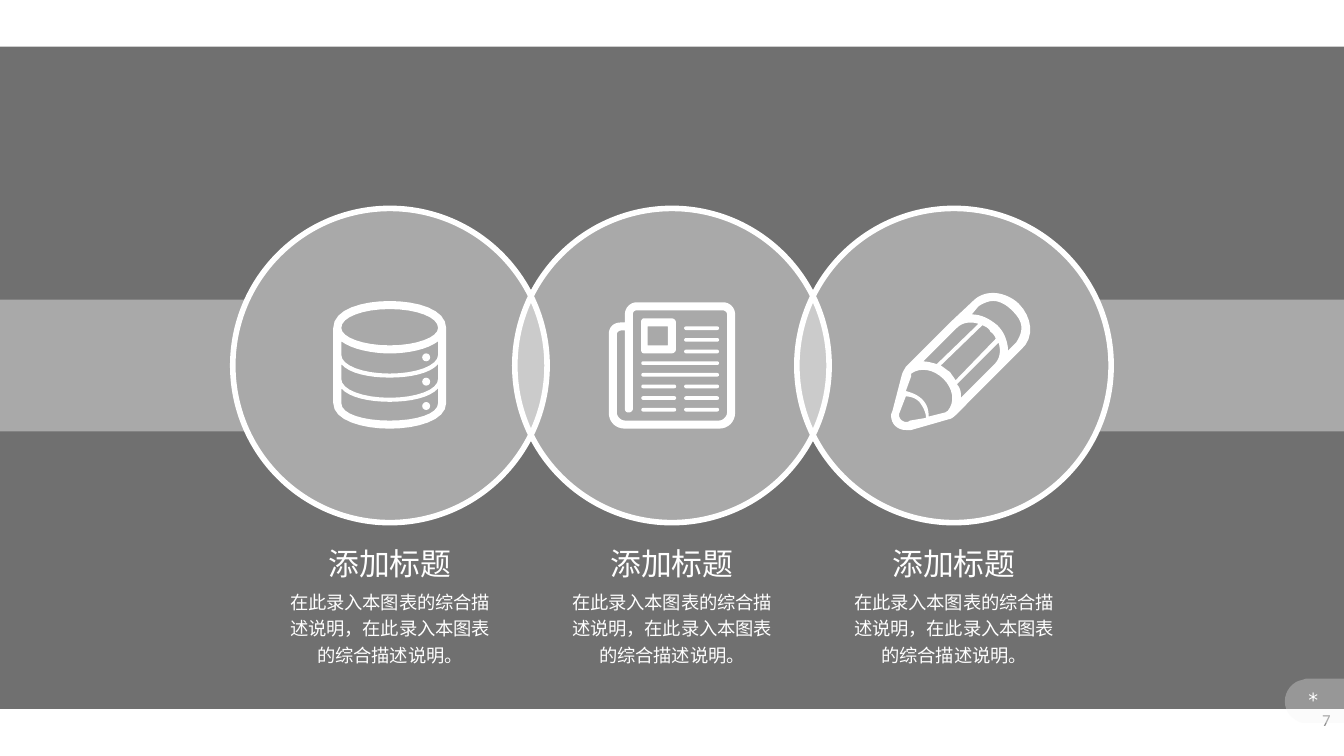
from dataclasses import dataclass

from lxml import etree
from pptx import Presentation
from pptx.dml.color import RGBColor
from pptx.enum.shapes import MSO_SHAPE
from pptx.enum.text import MSO_ANCHOR, MSO_AUTO_SIZE, PP_ALIGN
from pptx.oxml.ns import qn
from pptx.util import Cm, Pt

RECTANGLE, ROUNDED, OVAL = MSO_SHAPE.RECTANGLE, MSO_SHAPE.ROUNDED_RECTANGLE, MSO_SHAPE.OVAL
CENTER, RIGHT = PP_ALIGN.CENTER, PP_ALIGN.RIGHT
TOP, MIDDLE = MSO_ANCHOR.TOP, MSO_ANCHOR.MIDDLE
GROW, FIXED = MSO_AUTO_SIZE.SHAPE_TO_FIT_TEXT, MSO_AUTO_SIZE.NONE


@dataclass(frozen=True)
class Theme:
    white: str = "FFFFFF"
    panel: str = "000000"
    tab: str = "F2F2F2"
    page_number: str = "8C8C8C"
    font: str = "Noto Sans CJK SC"
    number_font: str = "Calibri"
    mark_font: str = "DejaVu Sans Mono"
    title_size: float = 16.5
    body_size: float = 9.75
    mark_size: float = 10.5
    number_size: float = 9
    ring_width: float = 3


@dataclass(frozen=True)
class Topic:
    title: str
    body: str


THEME = Theme()
BODY = "在此录入本图表的综合描述说明，在此录入本图表的综合描述说明。"
TOPICS = [Topic("添加标题", BODY)] * 3

SLIDE_WIDTH, SLIDE_HEIGHT = 25.4, 14.29
FIRST_CENTER, PITCH = 7.37, 5.33
RING_TOP, RING_SIZE = 3.94, 5.94

# Outlines are tuples of contours, on a grid of 1000 steps across the slide.
GRID_STEPS = 1000
GRID = Cm(SLIDE_WIDTH) / GRID_STEPS
CURVE_STEPS = 8

TAB = ("""972,505 1008,505 1008,538 969,538 C 962,536 956,530 956,522
    956,514 962,507 969,506""",)
BAND = ("""0,223 184,223 182,226 C 176,240 173,256 173,272
    173,288 176,304 182,318 L 184,321 0,321""",)
NEWSPAPER = (
    """538,225 474,225 C 469,225 465,229 465,234 L 465,240 462,240
    C 457,240 453,243 453,249 L 453,307 C 453,314 458,319 465,319 L 535,319
    C 542,319 547,314 547,307 L 547,234 C 547,229 543,225 538,225""",
    """541,307 C 541,310 538,313 535,313 L 465,313 C 462,313 459,310 459,307
    L 459,249 C 459,247 461,246 462,246 L 465,246 465,304
    C 465,306 466,307 468,307 469,307 471,306 471,304 L 471,234
    C 471,232 472,231 474,231 L 538,231 C 539,231 541,232 541,234""",
)
PHOTO = (
    """479,263 500,263 C 501,263 503,262 503,260 L 503,240
    C 503,238 501,237 500,237 L 479,237 C 478,237 477,238 477,240 L 477,260
    C 477,262 478,263 479,263""",
    "482,243 497,243 497,257 482,257",
)
PENCIL = (
    """758,226 C 753,221 745,218 739,218 733,218 728,220 724,224 L 708,239 674,273
    C 673,275 672,276 671,279 L 664,306 C 664,306 663,308 663,309
    663,316 668,320 674,320 676,320 678,320 678,320 L 706,312
    C 707,312 709,311 711,309 L 760,260 C 770,251 768,236 758,226""",
    """715,294 C 715,291 714,288 712,286 L 743,255 C 745,261 744,267 740,271
    L 715,296""",
    """711,283 C 710,281 708,279 707,277 704,275 703,274 700,272 L 731,242
    C 733,243 736,244 737,247 739,248 740,250 741,252""",
    "697,271 C 694,270 690,269 687,269 L 712,244 C 716,240 722,239 728,241",
    """677,313 C 676,314 675,314 674,314 672,314 669,312 669,309 L 669,308 674,295
    C 677,295 681,296 684,299 687,303 689,307 689,311""",
    """691,310 C 691,305 690,301 686,297 683,294 678,292 674,291 L 678,280
    C 678,279 678,279 678,278 685,273 695,275 702,282 709,289 711,299 705,306
    704,306 704,307 703,307""",
    """756,255 750,261 C 750,260 750,259 750,259 749,252 747,247 742,242
    736,237 730,234 723,234 L 728,228 C 731,226 735,224 739,224
    744,224 749,227 753,231 757,235 760,239 760,244 760,248 758,252 756,255""",
)
DATABASE = (
    """290,224 C 270,224 248,230 248,244 L 248,300 C 248,313 270,319 290,319
    310,319 332,313 332,300 L 332,244 C 332,230 310,224 290,224""",
    """326,300 C 326,308 310,313 290,313 270,313 254,308 254,300 L 254,289
    C 260,296 275,299 290,299 305,299 320,296 326,289""",
    """326,282 C 326,290 310,296 290,296 270,296 254,290 254,282 L 254,271
    C 260,278 275,281 290,281 305,281 320,278 326,271""",
    """326,264 C 326,272 310,278 290,278 270,278 254,272 254,264 L 254,254
    C 262,260 277,263 290,263 304,263 318,260 326,254""",
    """290,257 C 270,257 254,251 254,244 254,236 270,230 290,230
    310,230 326,236 326,244 326,251 310,257 290,257""",
)


def paint(shape, color: str, opacity: int = 100) -> None:
    shape.shadow.inherit = False
    shape.fill.solid()
    shape.fill.fore_color.rgb = RGBColor.from_string(color)
    shape.line.fill.background()
    if opacity < 100:
        color_node = shape._element.spPr.find(qn("a:solidFill"))[0]
        etree.SubElement(color_node, qn("a:alpha"), val=str(opacity * 1000))


def add_preset(shapes, kind, left: float, top: float, width: float, height: float,
               color: str = THEME.white, opacity: int = 100):
    shape = shapes.add_shape(kind, Cm(left), Cm(top), Cm(width), Cm(height))
    paint(shape, color, opacity)
    return shape


def trace(contour: str) -> list[tuple[float, float]]:
    """Turn line (L) and cubic curve (C) commands into points."""
    points, controls, command = [], [], "L"
    for token in contour.split():
        if token in ("L", "C"):
            command = token
            continue
        x, y = token.split(",")
        point = (float(x), float(y))
        if command == "L":
            points.append(point)
            continue
        controls.append(point)
        if len(controls) == 3:
            corners = [points[-1], *controls]
            for step in range(1, CURVE_STEPS + 1):
                t = step / CURVE_STEPS
                weights = ((1 - t) ** 3, 3 * t * (1 - t) ** 2, 3 * t * t * (1 - t), t ** 3)
                points.append(tuple(sum(w * corner[axis] for w, corner in zip(weights, corners))
                                    for axis in (0, 1)))
            controls = []
    return points


def add_outline(shapes, outline: tuple[str, ...], color: str = THEME.white,
                opacity: int = 100, mirrored: bool = False) -> None:
    builder = None
    for contour in outline:
        points = [((GRID_STEPS - x if mirrored else x) * GRID, y * GRID)
                  for x, y in trace(contour)]
        if builder is None:
            builder = shapes.build_freeform(*points[0])
        else:
            builder.move_to(*points[0])
        builder.add_line_segments(points[1:], close=True)
    paint(builder.convert_to_shape(), color, opacity)


def add_text(shapes, text: str, *, left: float, top: float, width: float, height: float,
             size: float, font: str = THEME.font, color: str = THEME.white, align=CENTER,
             anchor=TOP, fit=GROW, wrap: bool = True, spacing: float = 1.0,
             inset: tuple[float, float] = (0.18, 0.1)) -> None:
    box = shapes.add_textbox(Cm(left), Cm(top), Cm(width), Cm(height))
    frame = box.text_frame
    frame.word_wrap, frame.auto_size, frame.vertical_anchor = wrap, fit, anchor
    frame.margin_left = frame.margin_right = Cm(inset[0])
    frame.margin_top = frame.margin_bottom = Cm(inset[1])
    para = frame.paragraphs[0]
    para.alignment, para.line_spacing = align, spacing
    span = para.add_run()
    span.text = text
    span.font.size = Pt(size)
    span.font.color.rgb = RGBColor.from_string(color)
    span.font.name = font
    etree.SubElement(span.font._element, qn("a:ea"), typeface=font)


def add_newspaper(shapes) -> None:
    group = shapes.add_group_shape().shapes
    add_outline(group, NEWSPAPER)
    left_column, right_column, column, full = 12.12, 12.93, 0.66, 1.47
    rows = ([[(right_column, column)]] * 3 + [[(left_column, full)]] * 2
            + [[(left_column, column), (right_column, column)]] * 3)
    for index, row in enumerate(rows):
        for left, width in row:
            bar = add_preset(group, ROUNDED, left, 6.17 + 0.22 * index, width, 0.07)
            bar.adjustments[0] = 0.5
    add_outline(group, PHOTO)


def add_database(shapes) -> None:
    group = shapes.add_group_shape().shapes
    add_outline(group, DATABASE)
    for index in range(3):
        add_preset(group, OVAL, 7.98, 6.68 + 0.46 * index, 0.15, 0.15)


def add_label(shapes, topic: Topic, center: float) -> None:
    add_text(shapes, topic.title, left=center - 1.37, top=10.19, width=2.74, height=0.89,
             size=THEME.title_size, wrap=False)
    add_text(shapes, topic.body, left=center - 2.21, top=11, width=4.42, height=1.7,
             size=THEME.body_size, spacing=1.2)


def main() -> None:
    deck = Presentation()
    deck.slide_width, deck.slide_height = Cm(SLIDE_WIDTH), Cm(SLIDE_HEIGHT)
    shapes = deck.slides.add_slide(deck.slide_layouts[6]).shapes
    centers = [FIRST_CENTER + PITCH * index for index in range(len(TOPICS))]

    add_preset(shapes, RECTANGLE, 0, 0.88, SLIDE_WIDTH, 12.52, THEME.panel, 56)
    add_text(shapes, "7", left=19.69, top=13.23, width=5.71, height=0.76,
             size=THEME.number_size, font=THEME.number_font, color=THEME.page_number,
             align=RIGHT, anchor=MIDDLE, fit=FIXED, inset=(0.25, 0.13))
    add_outline(shapes, TAB, THEME.tab, 30)
    add_text(shapes, "* ", left=24.46, top=12.93, width=0.94, height=0.58,
             size=THEME.mark_size, font=THEME.mark_font, inset=(0.15, 0.08))

    for mirrored in (False, True):
        add_outline(shapes, BAND, opacity=40, mirrored=mirrored)
    for center in centers:
        ring = add_preset(shapes, OVAL, center - RING_SIZE / 2, RING_TOP,
                          RING_SIZE, RING_SIZE, opacity=40)
        ring.line.color.rgb = RGBColor.from_string(THEME.white)
        ring.line.width = Pt(THEME.ring_width)

    add_newspaper(shapes)
    add_outline(shapes, PENCIL)
    add_database(shapes)
    for topic, center in zip(TOPICS, centers):
        add_label(shapes, topic, center)
    deck.save("out.pptx")


if __name__ == "__main__":
    main()
